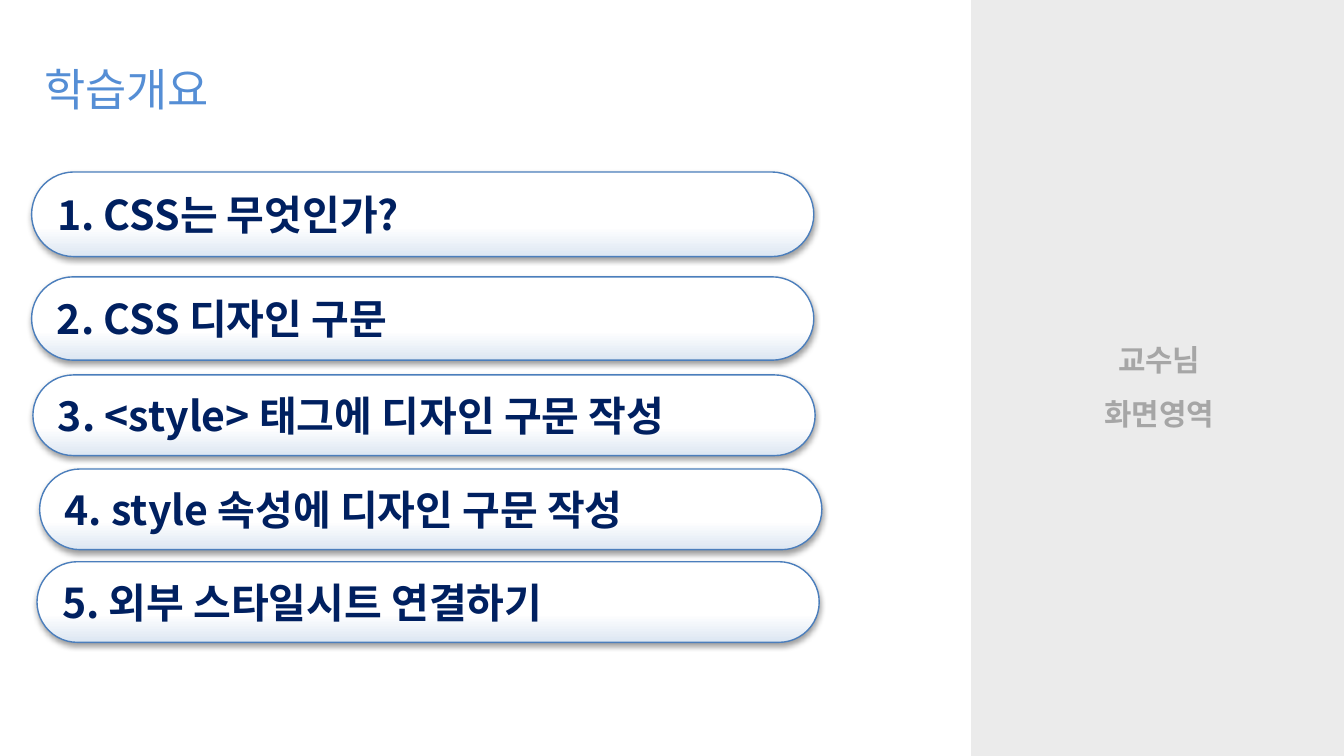
from collections import namedtuple
from copy import deepcopy

from lxml.etree import SubElement
from pptx import Presentation
from pptx.dml.color import RGBColor
from pptx.enum.shapes import MSO_SHAPE
from pptx.enum.text import MSO_ANCHOR, MSO_AUTO_SIZE, PP_ALIGN
from pptx.oxml.ns import qn
from pptx.util import Inches, Pt

WIDTH = Inches(10)
HEIGHT = WIDTH * 9 // 16
COLUMN = ROW = WIDTH / 100

SKY = RGBColor(0x55, 0x8E, 0xD5)
NAVY = RGBColor(0x00, 0x20, 0x60)
OUTLINE = RGBColor(0x4B, 0x7E, 0xBC)
PALE_BLUE = RGBColor(0xDC, 0xE6, 0xF2)
WHITE = RGBColor(0xFF, 0xFF, 0xFF)
PANEL_GRAY = RGBColor(0xD9, 0xD9, 0xD9)
LABEL_GRAY = RGBColor(0xA6, 0xA6, 0xA6)
KOREAN_FONT = "Noto Sans CJK KR"

Box = namedtuple("Box", "left top width height")

HEADING_BOX = Box(2.3, 3.7, 66.8, 5.1)
PRESENTER_BOX = Box(72.25, 0, 28, 56.25)
TOPIC_WIDTH = 58.2
TOPICS = [
    ("1. CSS는 무엇인가?", 2.35, 12.8, 6.3),
    ("2. CSS 디자인 구문", 2.35, 20.6, 6.2),
    ("3. <style> 태그에 디자인 구문 작성", 2.45, 27.9, 6),
    ("4. style 속성에 디자인 구문 작성", 2.95, 34.9, 6),
    ("5. 외부 스타일시트 연결하기", 2.75, 41.8, 6),
]


def to_lengths(box):
    """Turn grid columns and rows into slide lengths."""
    return (round(box.left * COLUMN), round(box.top * ROW),
            round(box.width * COLUMN), round(box.height * ROW))


def write_text(frame, text, *, size, color, font=KOREAN_FONT, bold=False,
               align=PP_ALIGN.LEFT, anchor=MSO_ANCHOR.MIDDLE, spacing=None):
    """Write one paragraph per line of text in the given format."""
    frame.word_wrap = True
    frame.vertical_anchor = anchor
    frame.text = text
    for paragraph in frame.paragraphs:
        paragraph.alignment = align
        paragraph.line_spacing = spacing
        for run in paragraph.runs:
            run.font.size = Pt(size)
            run.font.bold = bold
            run.font.name = font
            run.font.color.rgb = color
            run.font._element.set("kern", "0")
            SubElement(run.font._element, qn("a:ea"), typeface=font)


def add_presenter_panel(slide, box):
    """Add the translucent panel reserved for the presenter."""
    panel = slide.shapes.add_shape(MSO_SHAPE.RECTANGLE, *to_lengths(box))
    panel.shadow.inherit = False
    panel.line.fill.background()
    panel.fill.solid()
    panel.fill.fore_color.rgb = PANEL_GRAY
    tint = panel._element.spPr.find(qn("a:solidFill")).find(qn("a:srgbClr"))
    SubElement(tint, qn("a:alpha"), val="50000")
    write_text(panel.text_frame, "교수님\n화면영역", size=16, color=LABEL_GRAY,
               font="Arial", bold=True, align=PP_ALIGN.CENTER, spacing=1.5)


def add_heading(slide, box):
    """Place and format the slide title."""
    heading = slide.shapes.title
    heading.left, heading.top, heading.width, heading.height = to_lengths(box)
    write_text(heading.text_frame, "학습개요", size=24, color=SKY,
               anchor=MSO_ANCHOR.TOP, spacing=1.1)
    heading.text_frame.auto_size = MSO_AUTO_SIZE.SHAPE_TO_FIT_TEXT


def shade_upward(pill):
    """Fade the pill from pale blue at its foot to white."""
    pill.fill.gradient()
    pill.fill.gradient_angle = 90
    for stop, color, position in zip(pill.fill.gradient_stops,
                                     (PALE_BLUE, WHITE), (0, 0.35)):
        stop.color.rgb = color
        stop.position = position
    stops = pill._element.spPr.find(qn("a:gradFill")).find(qn("a:gsLst"))
    top_stop = deepcopy(stops[-1])
    top_stop.set("pos", "100000")
    stops.append(top_stop)


def drop_shadow(pill):
    """Give the pill a soft shadow below."""
    pill.shadow.inherit = False
    effects = pill._element.spPr.find(qn("a:effectLst"))
    shadow = SubElement(effects, qn("a:outerShdw"), blurRad=str(Pt(3.1)),
                        dist=str(Pt(1.6)), dir="5400000", rotWithShape="0")
    shade = SubElement(shadow, qn("a:srgbClr"), val="000000")
    SubElement(shade, qn("a:alpha"), val="38000")


def add_topic(slide, box, topic):
    """Add one agenda topic as a rounded pill."""
    pill = slide.shapes.add_shape(MSO_SHAPE.ROUNDED_RECTANGLE, *to_lengths(box))
    pill.adjustments[0] = 0.5
    pill.line.color.rgb = OUTLINE
    pill.line.width = Pt(0.75)
    shade_upward(pill)
    drop_shadow(pill)
    write_text(pill.text_frame, topic, size=22, color=NAVY, bold=True)


def main():
    """Build and save the agenda slide."""
    deck = Presentation()
    deck.slide_width, deck.slide_height = WIDTH, HEIGHT
    slide = deck.slides.add_slide(deck.slide_layouts[5])
    add_presenter_panel(slide, PRESENTER_BOX)
    add_heading(slide, HEADING_BOX)
    for topic, left, top, height in TOPICS:
        add_topic(slide, Box(left, top, TOPIC_WIDTH, height), topic)
    deck.save("out.pptx")


if __name__ == "__main__":
    main()
